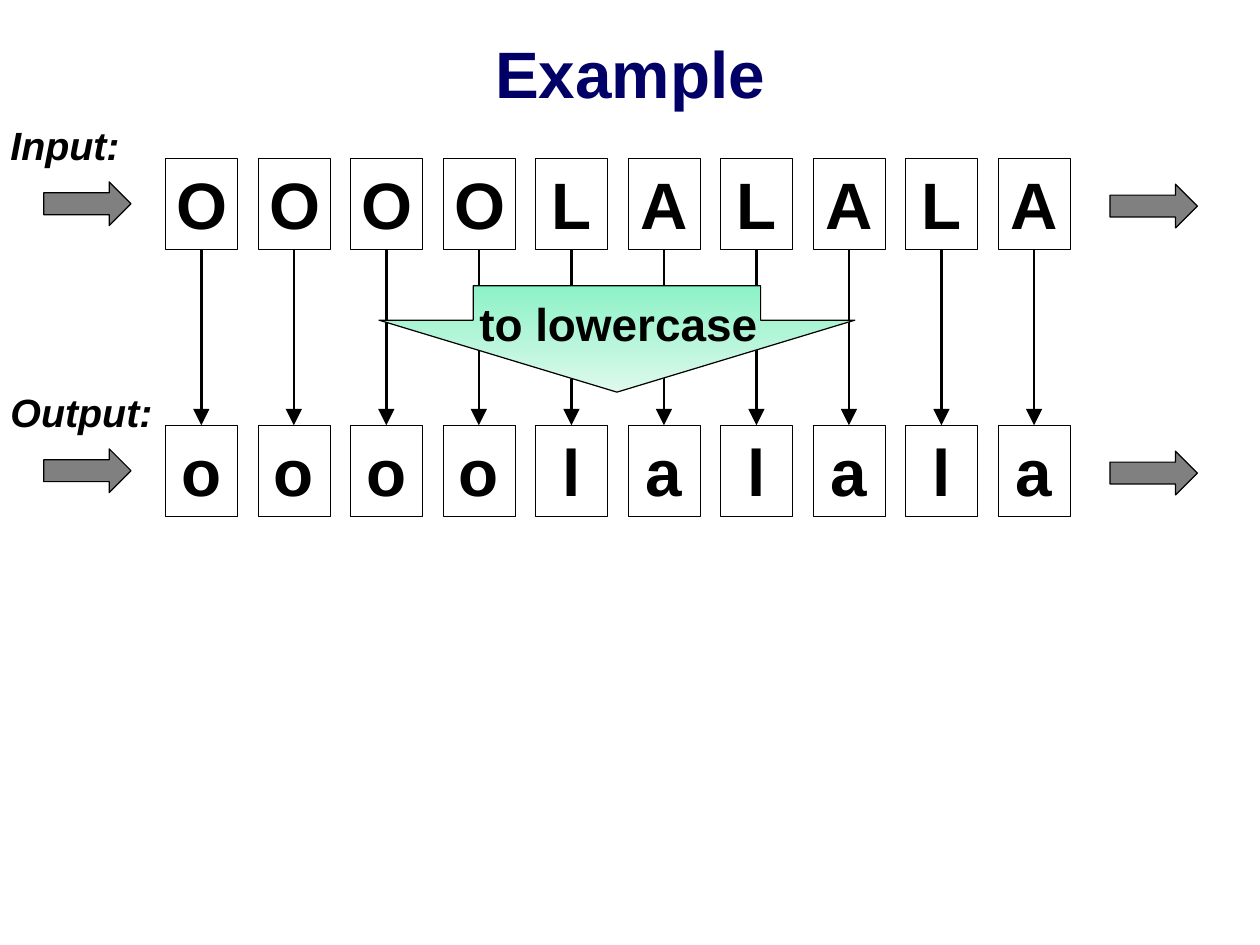
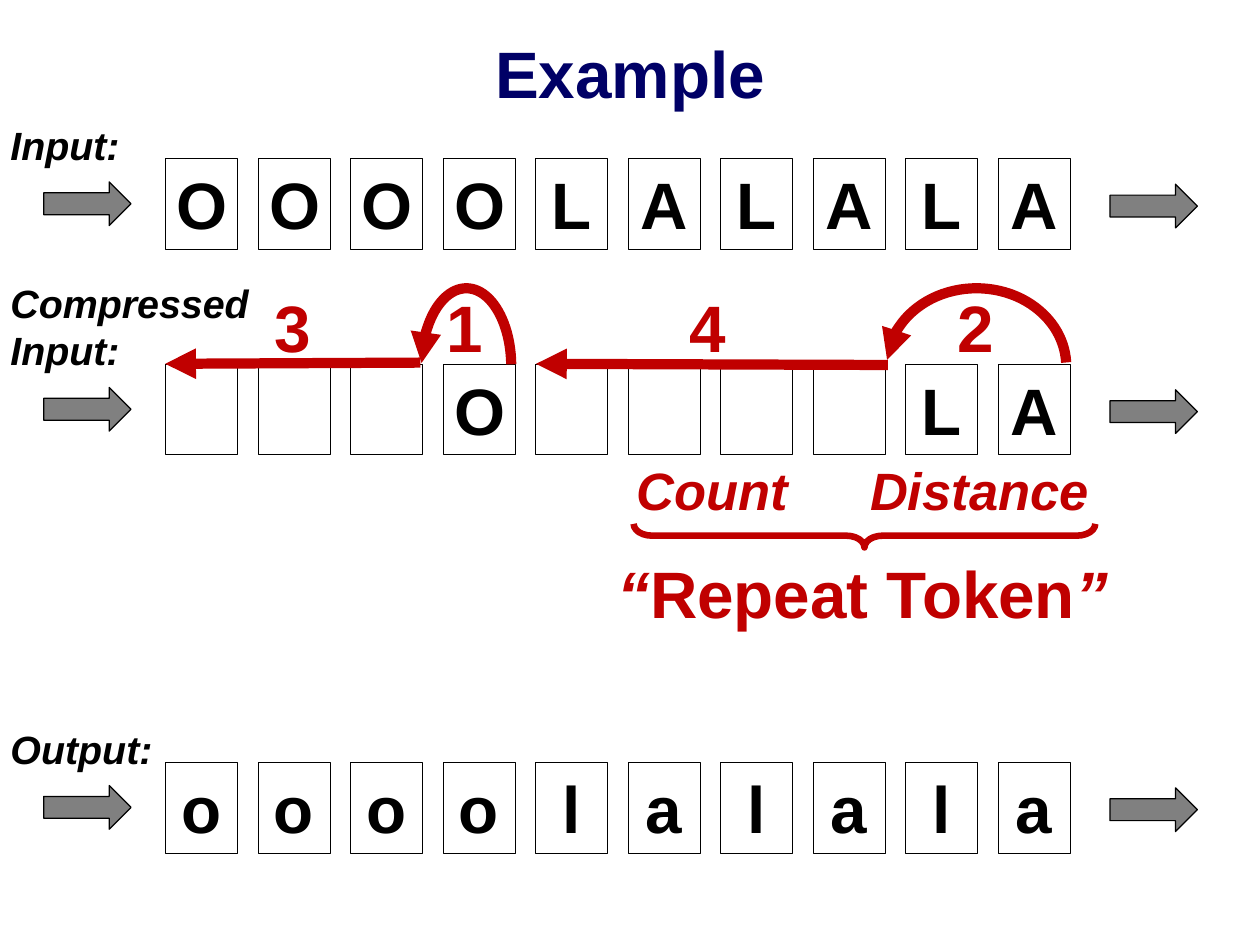
from pptx import Presentation, util as u
from pptx.dml import color
from pptx.enum import shapes, text
from pptx.oxml import ns, xmlchemy as xml

NAVY, BLACK, GREY, RED, WHITE = "000066", "000000", "808080", "C00000", "FFFFFF"
MINT, PALE = "8CF2C6", "DEF9EC"
KIND = shapes.MSO_SHAPE
LEFT, MID, RIGHT = text.PP_ALIGN.LEFT, text.PP_ALIGN.CENTER, text.PP_ALIGN.RIGHT
BIG = {"name": "Arial", "size": u.Pt(40), "bold": True}
LABEL = {**BIG, "size": u.Pt(24), "italic": True}
NOTE = {**LABEL, "size": u.Pt(32)}
STEP, WIDE, HIGH = 0.7835, 0.61, 0.77
START, TOP = 1.4, 1.34
WORD = "OOOOLALALA"


def rgb(code):
    """Turn a hex string into a colour."""
    return color.RGBColor.from_string(code)


def inch(*vals):
    """Turn numbers into lengths."""
    return [u.Inches(v) for v in vals]


def add_run(para, words, style, tone):
    """Add one styled run to a paragraph."""
    run = para.add_run()
    run.text = words
    for key, val in style.items():
        setattr(run.font, key, val)
    run.font.color.rgb = rgb(tone)


def write(frame, words, style, tone=BLACK, align=MID):
    """Fill a text frame, one paragraph per line."""
    for num, line in enumerate(words.split("\n")):
        para = frame.add_paragraph() if num else frame.paragraphs[0]
        para.alignment = align
        add_run(para, line, style, tone)


def add_text(slide, at, words, style, tone=BLACK, align=MID, wrap=False):
    """Add a text box, fitted to its text unless it wraps."""
    frame = slide.shapes.add_textbox(*inch(*at)).text_frame
    frame.word_wrap = wrap
    if not wrap:
        frame.auto_size = text.MSO_AUTO_SIZE.SHAPE_TO_FIT_TEXT
    write(frame, words, style, tone, align)
    return frame


def add_shape(slide, kind, at, width, line=BLACK, fill=None, adj=()):
    """Add an outlined preset shape without shadow."""
    shape = slide.shapes.add_shape(kind, *inch(*at))
    shape.shadow.inherit = False
    shape.line.color.rgb = rgb(line)
    shape.line.width = u.Pt(width)
    if fill:
        shape.fill.solid()
        shape.fill.fore_color.rgb = rgb(fill)
    else:
        shape.fill.background()
    for num, val in enumerate(adj):
        shape.adjustments[num] = val
    return shape


def add_head(shape, size="med"):
    """Put an arrowhead at the end of a line."""
    tip = xml.OxmlElement("a:tailEnd")
    for key, val in {"type": "triangle", "w": size, "len": size}.items():
        tip.set(key, val)
    shape.element.spPr.find(ns.qn("a:ln")).append(tip)


def flip(shape):
    """Mirror a shape from left to right."""
    shape.element.spPr.find(ns.qn("a:xfrm")).set("flipH", "1")


def add_arrow(slide, ends, width, tone=BLACK, size="med"):
    """Add a straight arrow."""
    line = slide.shapes.add_connector(shapes.MSO_CONNECTOR.STRAIGHT, *inch(*ends))
    line.line.color.rgb = rgb(tone)
    line.line.width = u.Pt(width)
    add_head(line, size)
    line.element.spPr.append(xml.OxmlElement("a:effectLst"))


def add_arc(slide, left, width):
    """Add a red arc that points back to the left."""
    arc = add_shape(slide, KIND.ARC, (left, 2.44, width, 1.32), 6.25, RED,
                    adj=(109.432, 213.554))
    flip(arc)
    add_head(arc)


def add_row(slide, top, word):
    """Add a row of letter boxes between two block arrows."""
    boxes = []
    for num, char in enumerate(word):
        at = START + num * STEP, top, WIDE, HIGH
        box = add_shape(slide, KIND.RECTANGLE, at, 0.25)
        if char != " ":
            box.text_frame.vertical_anchor = text.MSO_ANCHOR.TOP
            write(box.text_frame, char, BIG)
        boxes.append(box)
    for left, drop in (9.4, 0.22), (0.37, 0.2):
        add_shape(slide, KIND.RIGHT_ARROW, (left, top + drop, 0.74, 0.37), 0.75, fill=GREY)
    return boxes


def add_slide(deck, low):
    """Start a slide with title, input row and output row."""
    slide = deck.slides.add_slide(deck.slide_layouts[6])
    frame = add_text(slide, (0, -0.05, 10.67, 1.33), "Example", BIG, NAVY, wrap=True)
    frame.vertical_anchor = text.MSO_ANCHOR.MIDDLE
    for name, top, wide, word in (("Input:", TOP, 1.13, WORD),
                                  ("Output:", low, 1.42, WORD.lower())):
        add_row(slide, top, word)
        add_text(slide, (-0.01, top - 0.36, wide, 0.5), name, LABEL, align=LEFT)
    return slide


def add_lower(deck):
    """Build the slide that maps letters to lowercase."""
    low = 3.6
    slide = add_slide(deck, low)
    for num in range(len(WORD)):
        mid = START + num * STEP + WIDE / 2
        add_arrow(slide, (mid, TOP + HIGH, mid, low), 1.5, size="lg")
    block = add_shape(slide, KIND.DOWN_ARROW, (3.21, 2.42, 4.03, 0.9), 0.75,
                      adj=(0.604, 0.677))
    block.fill.gradient()
    block.fill.gradient_angle = 270
    for stop, tone in zip(block.fill.gradient_stops, (MINT, PALE)):
        stop.color.rgb = rgb(tone)
    add_text(slide, (1.3, 2.45, 5.21, 0.57), "to lowercase",
             {**BIG, "size": u.Pt(28)}, align=RIGHT, wrap=True)


def add_token(deck):
    """Build the slide that explains repeat tokens."""
    slide = add_slide(deck, 6.45)
    add_arc(slide, 7.51, 1.52)
    last = add_row(slide, 3.08, "   O    LA")[-1]
    last.fill.solid()
    last.fill.fore_color.rgb = rgb(WHITE)
    add_arc(slide, 3.57, 0.76)
    for ends in (7.52, 3.09, 4.54, 3.08), (3.56, 3.07, 1.4, 3.08):
        add_arrow(slide, ends, 6.25, RED)
    for char, left in ("3", 2.22), ("1", 3.68), ("4", 5.74), ("2", 8.01):
        add_text(slide, (left, 2.38, 0.51, HIGH), char, BIG, RED)
    add_text(slide, (-0.01, 2.31, 2.24, 0.91), "Compressed\nInput:", LABEL, align=LEFT)
    for word, left, wide in ("Count", 5.28, 1.5), ("Distance", 7.2, 2.19):
        add_text(slide, (left, 3.83, wide, 0.64), word, NOTE, RED)
    brace = add_shape(slide, KIND.RIGHT_BRACE, (7.22, 2.58, 0.2, 3.91), 4, RED,
                      adj=(0.776, 0.5))
    brace.rotation = 270
    flip(brace)
    frame = add_text(slide, (5.13, 4.63, 4.62, 2.12), "“", {**BIG, "italic": True},
                     RED, LEFT, True)
    for word, slant in ("Repeat Token", False), ("”", True):
        add_run(frame.paragraphs[0], word, {**BIG, "italic": slant}, RED)


def main():
    """Build and save the deck."""
    deck = Presentation()
    deck.slide_width, deck.slide_height = inch(10.67, 8)
    add_lower(deck)
    add_token(deck)
    deck.save("out.pptx")


if __name__ == "__main__":
    main()
